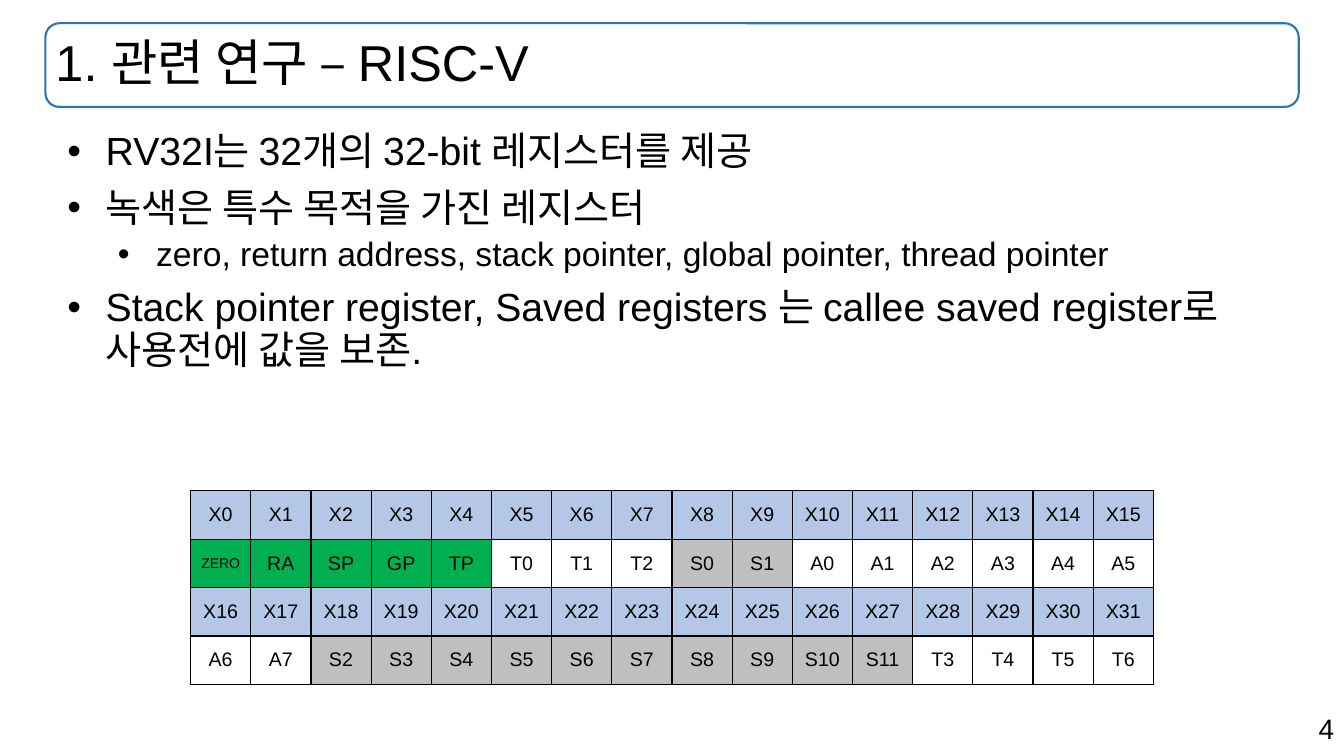
from dataclasses import dataclass

from lxml.etree import SubElement
from pptx import Presentation
from pptx.dml.color import RGBColor
from pptx.enum.shapes import MSO_SHAPE
from pptx.enum.text import MSO_ANCHOR, MSO_AUTO_SIZE, PP_ALIGN
from pptx.oxml.ns import qn
from pptx.slide import Slide
from pptx.table import _Cell
from pptx.text.text import TextFrame, _Paragraph
from pptx.util import Inches, Pt

WIDE = Inches(13.33)
HIGH = Inches(7.5)
FONT = "Arial"
HUES = {
    "ink": "000000",
    "frame": "2E75B5",
    "index": "B4C7E7",
    "special": "00B050",
    "saved": "BFBFBF",
    "plain": "FFFFFF",
}


@dataclass(frozen=True)
class Box:
    left: float
    top: float
    width: float
    height: float

    def place(self) -> tuple[int, int, int, int]:
        return (
            round(WIDE * self.left / 100),
            round(HIGH * self.top / 100),
            round(WIDE * self.width / 100),
            round(HIGH * self.height / 100),
        )


@dataclass(frozen=True)
class Bullet:
    text: str
    level: int = 0


HEAD = Box(3.38, 3.07, 93.25, 11.07)
BODY = Box(3.38, 16.8, 93.25, 73.73)
GRID = Box(14.18, 64.93, 71.64, 25.6)
PAGE = Box(70.74, 93.47, 29.26, 5.87)

POINTS = [
    Bullet("RV32I는 32개의 32-bit 레지스터를 제공"),
    Bullet("녹색은 특수 목적을 가진 레지스터"),
    Bullet("zero, return address, stack pointer, global pointer, thread pointer", 1),
    Bullet("Stack pointer register, Saved registers 는 callee saved register로 사용전에 값을 보존."),
]

COLS = 16
SPECIAL = ["ZERO", "RA", "SP", "GP", "TP"]
NAMES = (
    SPECIAL
    + ["T0", "T1", "T2", "S0", "S1"]
    + [f"A{n}" for n in range(8)]
    + [f"S{n}" for n in range(2, 12)]
    + [f"T{n}" for n in range(3, 7)]
)


def color(name: str) -> RGBColor:
    return RGBColor.from_string(HUES[name])


def write(para: _Paragraph, text: str, size: int) -> None:
    run = para.add_run()
    run.text = text
    run.font.size = Pt(size)
    run.font.name = FONT
    run.font.color.rgb = color("ink")


def add_frame(slide: Slide) -> None:
    frame = slide.shapes.add_shape(MSO_SHAPE.ROUNDED_RECTANGLE, *HEAD.place())
    frame.shadow.inherit = False
    frame.fill.background()
    frame.line.color.rgb = color("frame")
    frame.line.width = Pt(1.5)


def add_title(slide: Slide) -> None:
    title = slide.shapes.title
    title.left, title.top, title.width, title.height = HEAD.place()
    text = title.text_frame
    text.auto_size = MSO_AUTO_SIZE.NONE
    text.vertical_anchor = MSO_ANCHOR.MIDDLE
    para = text.paragraphs[0]
    para.alignment = PP_ALIGN.LEFT
    para.line_spacing = 0.9
    write(para, "1. 관련 연구 – RISC-V", 36)


def add_text(slide: Slide, box: Box) -> TextFrame:
    text = slide.shapes.add_textbox(*box.place()).text_frame
    text.word_wrap = True
    return text


def add_points(slide: Slide) -> None:
    text = add_text(slide, BODY)
    for spot, point in enumerate(POINTS):
        para = text.add_paragraph() if spot else text.paragraphs[0]
        para.level = point.level
        para.line_spacing = 0.9
        para.space_before = Pt(5 if point.level else 10)
        props = para._p.get_or_add_pPr()
        props.set("marL", str(Inches(0.5 + 0.5 * point.level)))
        props.set("indent", str(Inches(-0.38)))
        SubElement(props, qn("a:buFont"), typeface=FONT)
        SubElement(props, qn("a:buChar"), char="•")
        write(para, point.text, 24 if point.level else 28)


def add_edges(cell: _Cell) -> None:
    props = cell._tc.get_or_add_tcPr()
    for spot, side in enumerate(("lnL", "lnR", "lnT", "lnB")):
        line = SubElement(props, qn(f"a:{side}"), w=str(Pt(1)))
        fill = SubElement(line, qn("a:solidFill"))
        SubElement(fill, qn("a:srgbClr"), val=HUES["ink"])
        props.remove(line)
        props.insert(spot, line)


def set_cell(cell: _Cell, text: str, hue: str) -> None:
    cell.fill.solid()
    cell.fill.fore_color.rgb = color(hue)
    cell.vertical_anchor = MSO_ANCHOR.MIDDLE
    cell.margin_left = cell.margin_right = Inches(0.05)
    add_edges(cell)
    para = cell.text_frame.paragraphs[0]
    para.alignment = PP_ALIGN.CENTER
    write(para, text, 10 if text == "ZERO" else 14)


def pick_hue(name: str) -> str:
    if name in SPECIAL:
        return "special"
    return "saved" if name.startswith("S") else "plain"


def add_grid(slide: Slide) -> None:
    rows = 2 * len(NAMES) // COLS
    table = slide.shapes.add_table(rows, COLS, *GRID.place()).table
    table.first_row = False
    table.horz_banding = False
    for spot, name in enumerate(NAMES):
        band, col = divmod(spot, COLS)
        set_cell(table.cell(2 * band, col), f"X{spot}", "index")
        set_cell(table.cell(2 * band + 1, col), name, pick_hue(name))


def add_page(slide: Slide) -> None:
    para = add_text(slide, PAGE).paragraphs[0]
    para.alignment = PP_ALIGN.RIGHT
    write(para, "4", 20)


def main() -> None:
    deck = Presentation()
    deck.slide_width = WIDE
    deck.slide_height = HIGH
    slide = deck.slides.add_slide(deck.slide_layouts[5])
    add_frame(slide)
    add_title(slide)
    add_points(slide)
    add_grid(slide)
    add_page(slide)
    deck.save("out.pptx")


if __name__ == "__main__":
    main()
